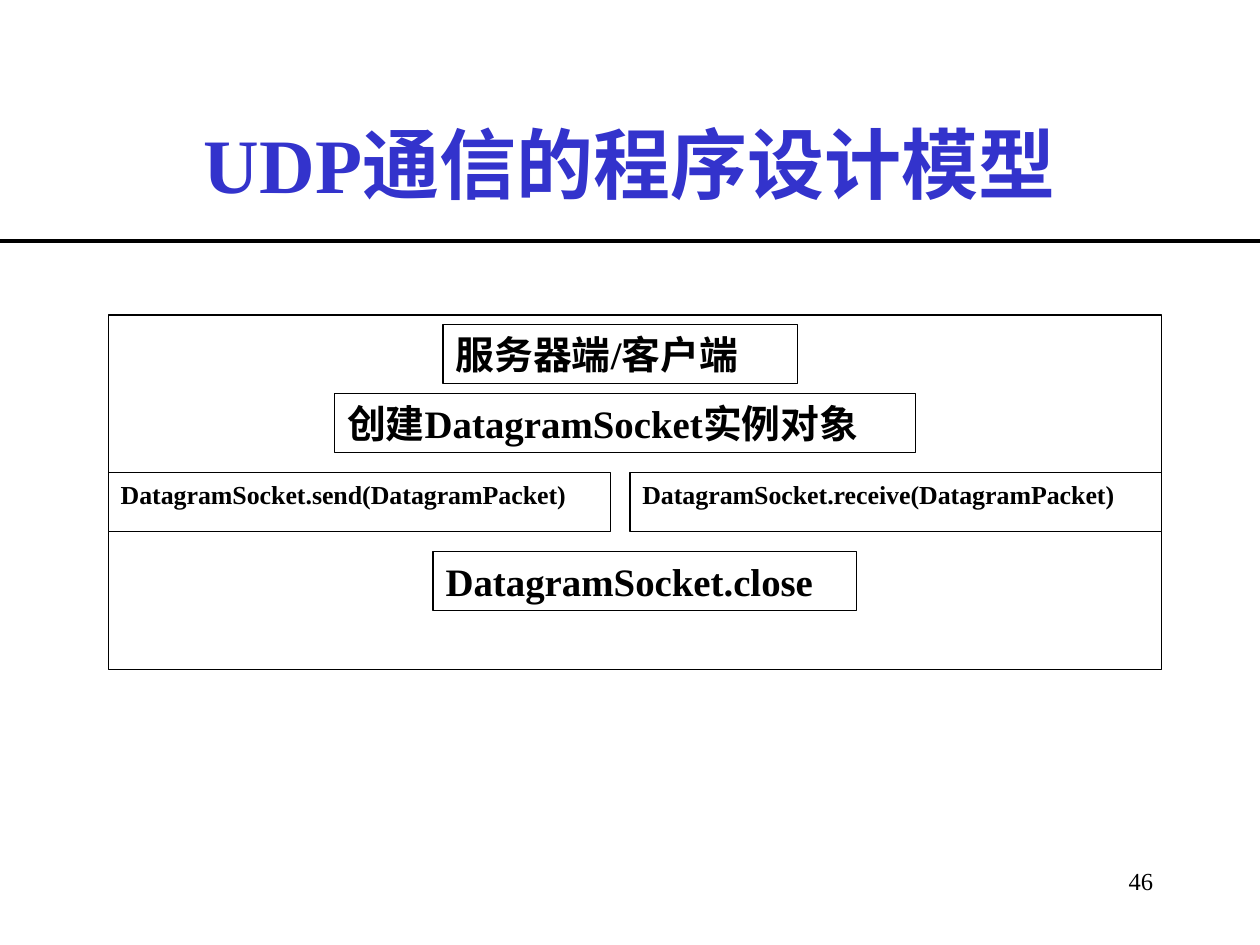
import pptx
import pptx.dml.color
import pptx.enum.shapes
import pptx.enum.text
import pptx.oxml.ns
import pptx.util
from lxml import etree

FONT = "Times New Roman"
BLACK = "000000"
WHITE = "FFFFFF"
BLUE = "3333CC"
ALIGN = pptx.enum.text.PP_ALIGN
ANCHOR = pptx.enum.text.MSO_ANCHOR

presentation = pptx.Presentation()
presentation.slide_width = pptx.util.Inches(10)
presentation.slide_height = pptx.util.Inches(7.5)
UNIT = presentation.slide_width / 128
slide = presentation.slides.add_slide(presentation.slide_layouts[5])


def color(value):
    return pptx.dml.color.RGBColor.from_string(value)


def write(shape, text, size, value, bold, alignment, anchor):
    frame = shape.text_frame
    frame.word_wrap = True
    frame.vertical_anchor = anchor
    paragraph = frame.paragraphs[0]
    paragraph.alignment = alignment
    run = paragraph.add_run()
    run.text = text
    run.font.name = FONT
    run.font.size = pptx.util.Pt(size)
    run.font.bold = bold
    run.font.color.rgb = color(value)


title = slide.shapes.title
title.left, title.top, title.width, title.height = [
    round(cells * UNIT) for cells in (9.6, 8.5, 108.8, 16)
]
write(title, "UDP通信的程序设计模型", 44, BLUE, True, ALIGN.CENTER, ANCHOR.MIDDLE)

number = slide.shapes.add_textbox(
    *[round(cells * UNIT) for cells in (104.6, 87.4, 13.8, 6.4)]
)
write(number, "46", 14, BLACK, False, ALIGN.RIGHT, ANCHOR.TOP)

rule_top = round(24.5 * UNIT)
rule = slide.shapes.add_connector(
    pptx.enum.shapes.MSO_CONNECTOR.STRAIGHT,
    0, rule_top, presentation.slide_width, rule_top,
)
rule.line.color.rgb = color(BLACK)
rule.line.width = pptx.util.Pt(2.25)
etree.SubElement(rule._element.spPr, pptx.oxml.ns.qn("a:effectLst"))

boxes = [
    (11, 32, 107, 36, "", 0),
    (45, 33, 36, 6, "服务器端/客户端", 22.2),
    (34, 40, 59, 6, "创建DatagramSocket实例对象", 22.2),
    (11, 48, 51, 6, "DatagramSocket.send(DatagramPacket)", 14.8),
    (64, 48, 54, 6, "DatagramSocket.receive(DatagramPacket)", 14.8),
    (44, 56, 43, 6, "DatagramSocket.close", 22.2),
]
for column, row, columns, rows, text, size in boxes:
    box = slide.shapes.add_shape(
        pptx.enum.shapes.MSO_SHAPE.RECTANGLE,
        *[round(cells * UNIT) for cells in (column, row, columns, rows)],
    )
    box.shadow.inherit = False
    box.fill.solid()
    box.fill.fore_color.rgb = color(WHITE)
    box.line.color.rgb = color(BLACK)
    box.line.width = pptx.util.Pt(0.75)
    if text:
        write(box, text, size, BLACK, True, ALIGN.LEFT, ANCHOR.TOP)

presentation.save("out.pptx")
